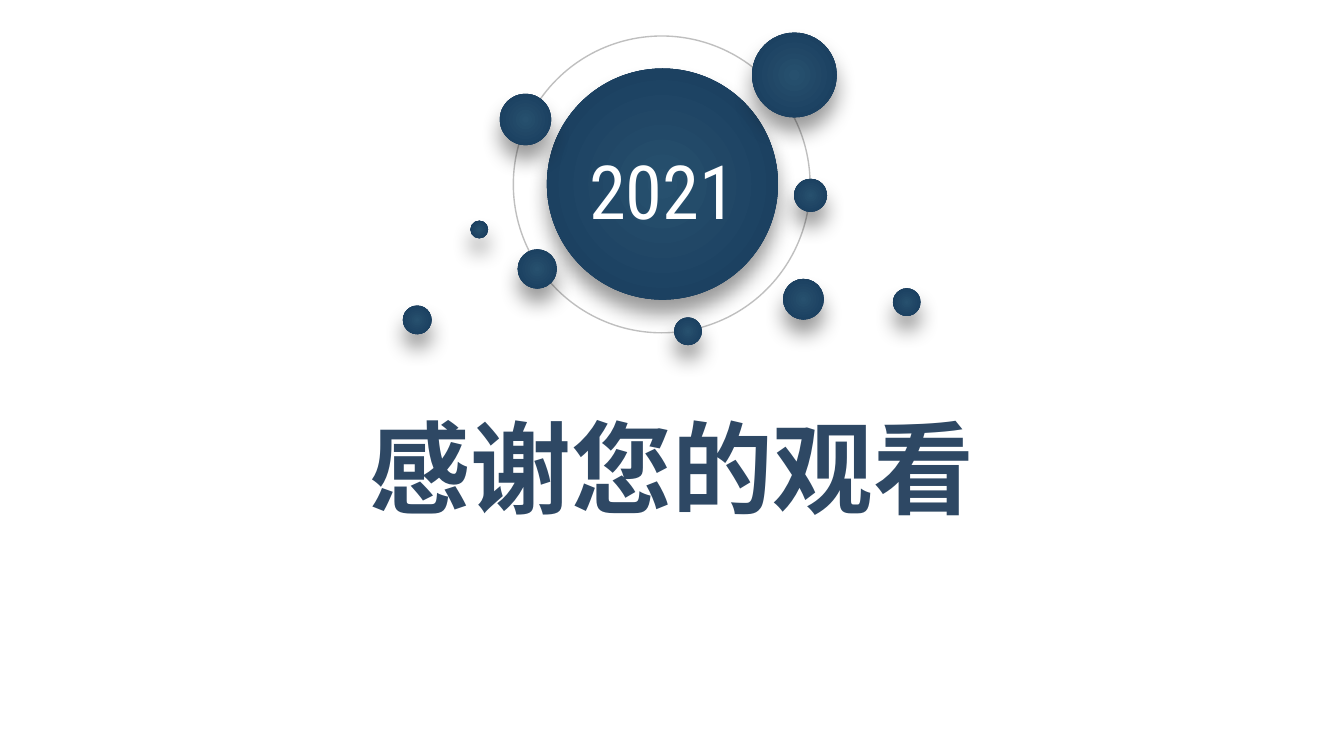
from lxml.etree import SubElement
from pptx import Presentation
from pptx.dml.color import RGBColor
from pptx.enum.shapes import MSO_SHAPE
from pptx.enum.text import MSO_AUTO_SIZE, PP_ALIGN
from pptx.oxml.ns import qn
from pptx.util import Pt

BUBBLES = [
    (293, 36.7, 123.8),
    (267.8, 50.3, 27.5),
    (215.8, 163.7, 15.4),
    (277.3, 133.6, 21),
    (425.4, 95.8, 17.7),
    (478.4, 154.5, 14.8),
    (252, 118.2, 9.5),
    (361.2, 170.1, 14.8),
    (419.5, 149.4, 21.8),
]
CORNER_BUBBLE = (402.9, 17.5, 45.4)


def color(value):
    """Turn a hex string into a colour."""
    return RGBColor.from_string(value)


def add_circle(page, left, top, size):
    """Add a plain circle without a shadow."""
    circle = page.shapes.add_shape(
        MSO_SHAPE.OVAL, Pt(left), Pt(top), Pt(size), Pt(size))
    circle.shadow.inherit = False
    return circle


def add_ring(page, left, top, size):
    """Add the thin grey orbit."""
    ring = add_circle(page, left, top, size)
    ring.fill.background()
    ring.line.color.rgb = color("BFBFBF")
    ring.line.width = Pt(0.75)


def add_bubble(page, left, top, size):
    """Add a circle with a radial gradient and a soft shadow below it."""
    bubble = add_circle(page, left, top, size)
    bubble.line.fill.background()
    bubble.fill.gradient()
    for stop, value in zip(bubble.fill.gradient_stops, ("27506E", "173A5B")):
        stop.color.rgb = color(value)
    properties = bubble.element.spPr
    gradient = properties.find(qn("a:gradFill"))
    gradient.remove(gradient.find(qn("a:lin")))
    radial = SubElement(gradient, qn("a:path"), {"path": "circle"})
    SubElement(radial, qn("a:fillToRect"),
               {side: "50000" for side in ("l", "t", "r", "b")})
    shadow = SubElement(
        properties.find(qn("a:effectLst")), qn("a:outerShdw"),
        {"blurRad": str(Pt(11)), "dist": str(Pt(8)), "dir": "5400000",
         "algn": "t", "rotWithShape": "0"})
    black = SubElement(shadow, qn("a:srgbClr"), {"val": "000000"})
    SubElement(black, qn("a:alpha"), {"val": "40000"})


def add_label(page, words, left, top, width, height, size, font, value, bold=False):
    """Add one centred line of text."""
    box = page.shapes.add_textbox(Pt(left), Pt(top), Pt(width), Pt(height))
    frame = box.text_frame
    frame.word_wrap = True
    frame.auto_size = MSO_AUTO_SIZE.SHAPE_TO_FIT_TEXT
    para = frame.paragraphs[0]
    para.alignment = PP_ALIGN.CENTER
    span = para.add_run()
    span.text = words
    span.font.size = Pt(size)
    span.font.name = font
    span.font.bold = bold
    span.font.color.rgb = color(value)


def main():
    """Build the closing slide."""
    deck = Presentation()
    deck.slide_width, deck.slide_height = Pt(720), Pt(405)
    page = deck.slides.add_slide(deck.slide_layouts[6])
    add_ring(page, 275, 19.3, 159)
    for bubble in BUBBLES:
        add_bubble(page, *bubble)
    add_label(page, "感谢您的观看", 90.7, 213.8, 538.6, 72.7,
              54, "Arial", "2E4864", bold=True)
    add_bubble(page, *CORNER_BUBBLE)
    add_label(page, "2021", 287.3, 74.2, 135.4, 55.4,
              40, "Roboto Condensed", "FFFFFF")
    deck.save("out.pptx")


if __name__ == "__main__":
    main()
